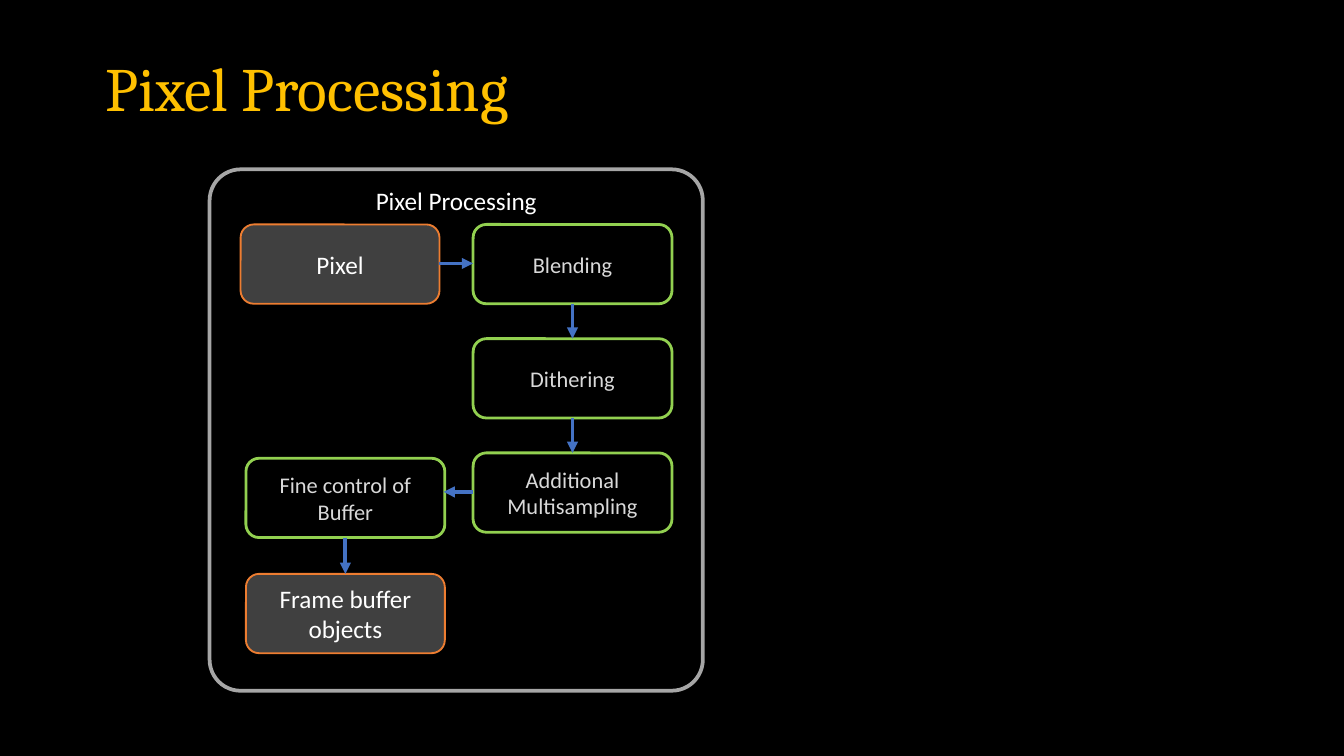
from pptx import Presentation
from pptx.dml.color import RGBColor
from pptx.enum.shapes import MSO_CONNECTOR, MSO_SHAPE
from pptx.enum.text import MSO_ANCHOR, PP_ALIGN
from pptx.oxml.ns import qn
from pptx.util import Inches, Pt
from lxml import etree

ROUNDED = MSO_SHAPE.ROUNDED_RECTANGLE
STRAIGHT = MSO_CONNECTOR.STRAIGHT
TOP, MIDDLE = MSO_ANCHOR.TOP, MSO_ANCHOR.MIDDLE
LEFT, CENTER = PP_ALIGN.LEFT, PP_ALIGN.CENTER

COLORS = {
    "black": "000000", "white": "FFFFFF", "title": "FFC000", "panel": "A6A6A6",
    "step_line": "92D050", "step_text": "D9D9D9", "data_fill": "404040",
    "data_line": "ED7D31", "arrow": "4472C4",
}
RGB = {name: RGBColor.from_string(value) for name, value in COLORS.items()}

STYLES = {
    "panel": {"fill": None, "line": "panel", "width": 2, "size": 13.5, "text": "white", "anchor": TOP},
    "step": {"fill": "black", "line": "step_line", "width": 1.5, "size": 12, "text": "step_text", "anchor": MIDDLE},
    "data": {"fill": "data_fill", "line": "data_line", "width": 1, "size": 13.5, "text": "white", "anchor": MIDDLE},
}

SLIDE_W = 10
SLIDE_H = SLIDE_W * 9 / 16
BOX_W, BOX_H = 1.48, 0.59
LEFT_X, RIGHT_X, BUFFER_X = 1.79, 3.52, 1.83
TOP_Y, PITCH = 1.67, 0.85


def write(sp, text, anchor, align, font):
    tf = sp.text_frame
    tf.word_wrap = True
    tf.vertical_anchor = anchor
    p = tf.paragraphs[0]
    p.alignment = align
    r = p.add_run()
    r.text = text
    r.font.color.rgb = RGB[font["color"]]
    for key in ("name", "size"):
        setattr(r.font, key, font[key])
    return p


prs = Presentation()
prs.slide_width, prs.slide_height = Inches(SLIDE_W), Inches(SLIDE_H)
s = prs.slides.add_slide(prs.slide_layouts[6])
s.background.fill.solid()
s.background.fill.fore_color.rgb = RGB["black"]

boxes = [
    ("Pixel Processing", "panel", 1.56, 1.26, 3.67, 3.88),
    ("Blending", "step", RIGHT_X, TOP_Y, BOX_W, BOX_H),
    ("Pixel", "data", LEFT_X, TOP_Y, BOX_W, BOX_H),
    ("Additional Multisampling", "step", RIGHT_X, TOP_Y + 2 * PITCH, BOX_W, BOX_H),
    ("Dithering", "step", RIGHT_X, TOP_Y + PITCH, BOX_W, BOX_H),
    ("Fine control of Buffer", "step", BUFFER_X, 3.41, BOX_W, BOX_H),
    ("Frame buffer objects", "data", BUFFER_X, 4.27, BOX_W, BOX_H),
]
for text, kind, x, y, w, h in boxes:
    style = STYLES[kind]
    sp = s.shapes.add_shape(ROUNDED, Inches(x), Inches(y), Inches(w), Inches(h))
    sp.shadow.inherit = False
    if kind == "panel":
        sp.adjustments[0] = 0.063
    if style["fill"]:
        sp.fill.solid()
        sp.fill.fore_color.rgb = RGB[style["fill"]]
    else:
        sp.fill.background()
    sp.line.color.rgb = RGB[style["line"]]
    sp.line.width = Pt(style["width"])
    write(sp, text, style["anchor"], CENTER,
          {"name": "Calibri", "size": Pt(style["size"]), "color": style["text"]})

arrows = [
    (3.27, 1.96, 3.52, 1.96),
    (4.26, 2.26, 4.26, 2.52),
    (4.26, 3.11, 4.26, 3.37),
    (3.52, 3.66, 3.3, 3.66),
    (2.57, 4, 2.57, 4.27),
]
for points in arrows:
    arrow = s.shapes.add_connector(STRAIGHT, *[Inches(v) for v in points])
    arrow.line.color.rgb = RGB["arrow"]
    arrow.line.width = Pt(2)
    etree.SubElement(arrow.line._get_or_add_ln(), qn("a:tailEnd"), type="triangle")
    etree.SubElement(arrow._element.spPr, qn("a:effectLst"))

title = s.shapes.add_textbox(Inches(0.69), Inches(0.3), Inches(8.62), Inches(0.76))
p = write(title, "Pixel Processing", MIDDLE, LEFT,
          {"name": "Cambria", "size": Pt(33), "color": "title"})
p.line_spacing = 0.9

prs.save("out.pptx")
